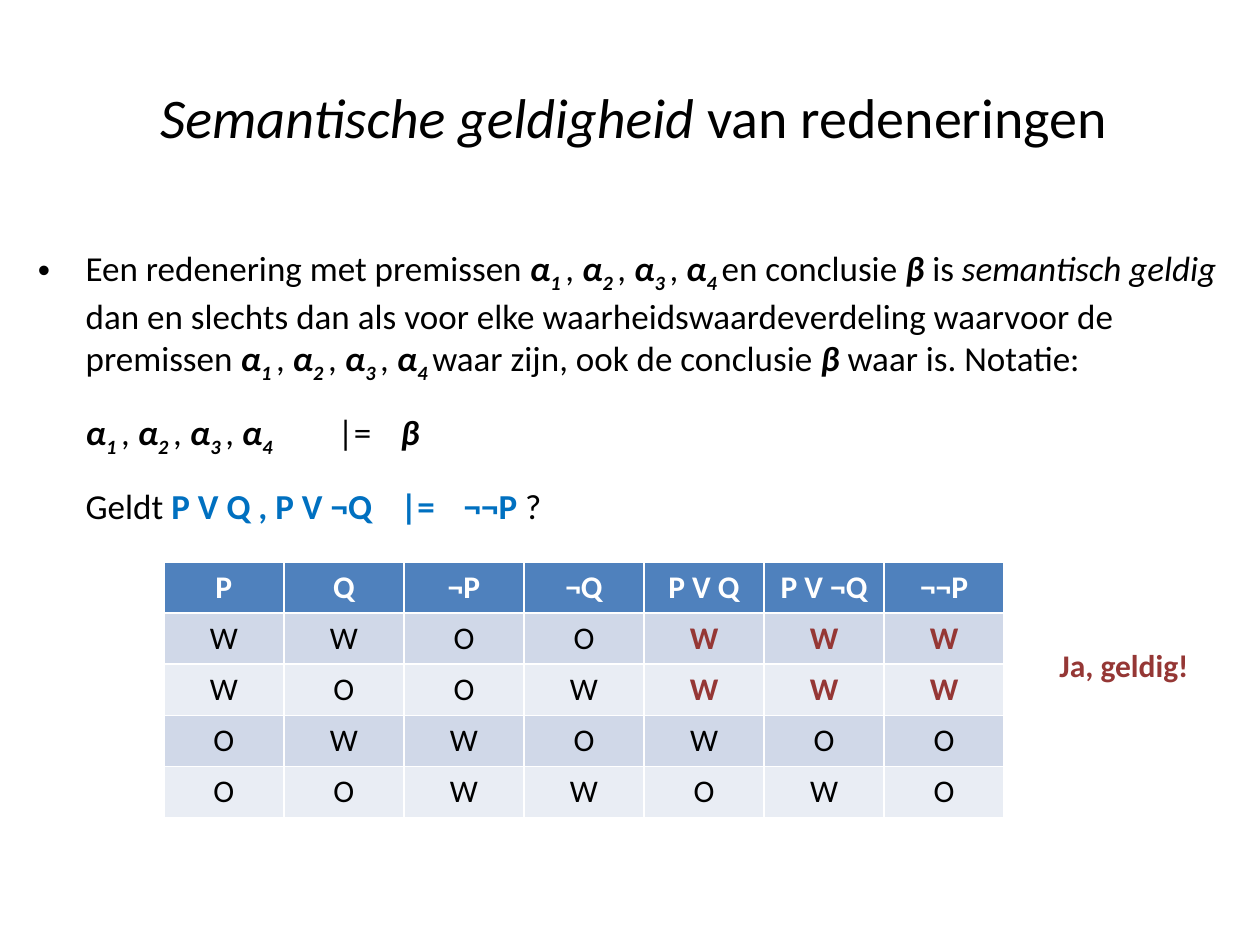
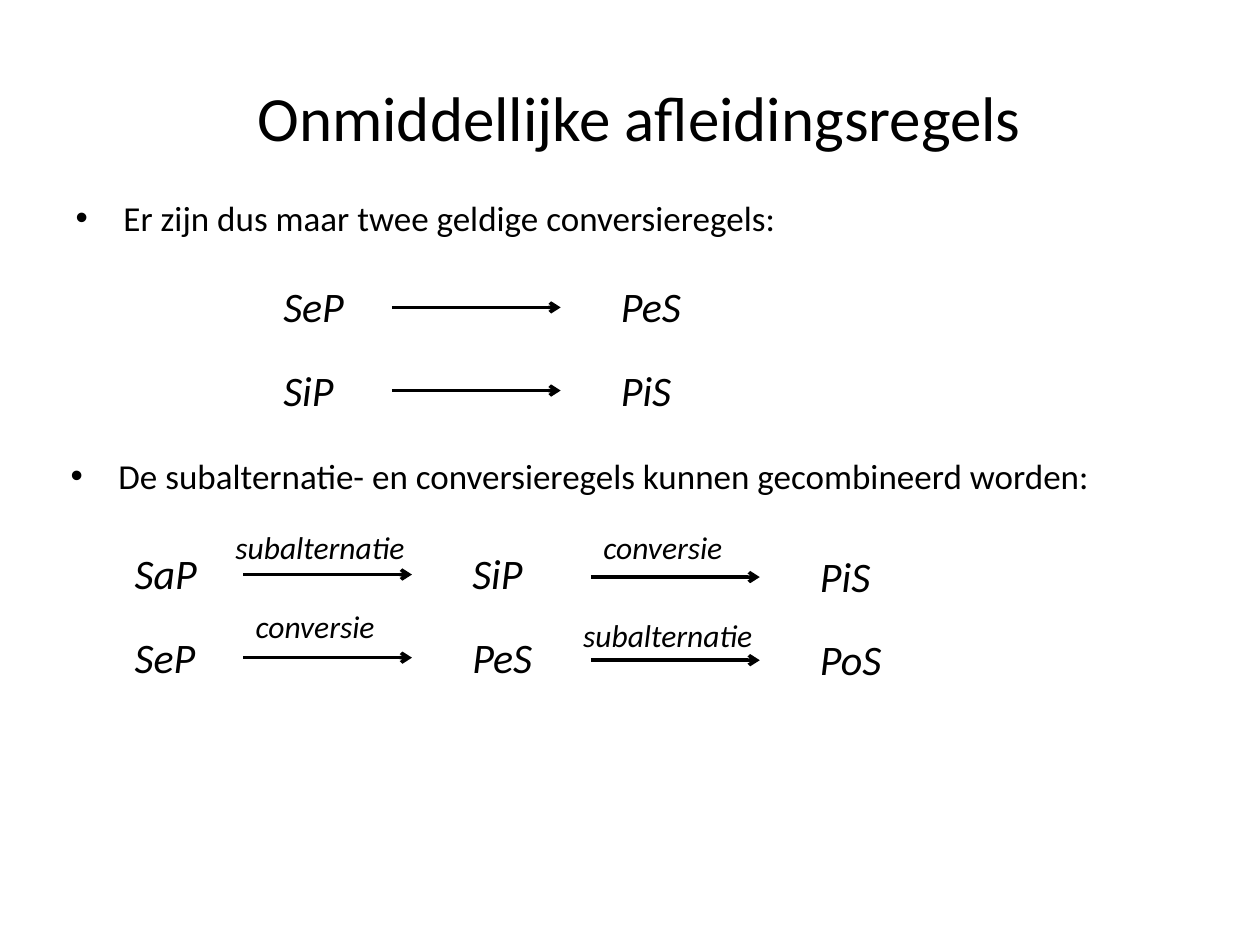
from lxml import etree
from pptx import Presentation
from pptx.dml.color import RGBColor
from pptx.enum.shapes import MSO_CONNECTOR as Connector
from pptx.enum.text import MSO_ANCHOR as Anchor, PP_ALIGN as Align
from pptx.oxml.ns import qn
from pptx.util import Inches, Pt

FONT = "Calibri"
COLORS = {
    "text": "000000",
    "formula": "0070C0",
    "valid": "953735",
    "header": "4F81BD",
    "header_text": "FFFFFF",
    "odd_row": "D0D8E8",
    "even_row": "E9EDF4",
}
INDENT = 0.38


def add_runs(paragraph, runs, size):
    """Add (text, style, color) runs; style letters: b bold, i italic, s subscript."""
    for text, style, color in runs:
        run = paragraph.add_run()
        run.text = text
        run.font.name = FONT
        run.font.size = Pt(size)
        run.font.bold = "b" in style
        run.font.italic = "i" in style
        run.font.color.rgb = RGBColor.from_string(COLORS[color])
        if "s" in style:
            run._r.get_or_add_rPr().set("baseline", "-25000")


def add_label(slide, text, left, top, width, size, style, color="text"):
    box = slide.shapes.add_textbox(Inches(left), Inches(top), Inches(width), Inches(0.4))
    box.text_frame.word_wrap = True
    add_runs(box.text_frame.paragraphs[0], [(text, style, color)], size)


presentation = Presentation()
presentation.slide_width = Inches(10)
presentation.slide_height = Inches(7.5)
layouts = presentation.slide_layouts
validity_slide = presentation.slides.add_slide(layouts.get_by_name("Title and Content"))
rules_slide = presentation.slides.add_slide(layouts.get_by_name("Two Content"))

# Titles
titles = [
    (validity_slide, 0.28, 9.5, 32,
     [("Semantische geldigheid", "i", "text"), (" van redeneringen", "", "text")]),
    (rules_slide, 0.5, 9.15, 36, [("Onmiddellijke afleidingsregels", "", "text")]),
]
for slide, left, width, size, runs in titles:
    title = slide.shapes.title
    title.left, title.top = Inches(left), Inches(0.3)
    title.width, title.height = Inches(width), Inches(1.25)
    title.text_frame.vertical_anchor = Anchor.MIDDLE
    paragraph = title.text_frame.paragraphs[0]
    paragraph.alignment = Align.CENTER
    add_runs(paragraph, runs, size)

# Lists: each paragraph is (bullet, tab stops, runs)
premises = []
for number in range(1, 5):
    premises += [("α", "bi", "text"), (f"{number} ", "bis", "text")]
    if number < 4:
        premises.append((", ", "", "text"))

definition = [
    ("Een redenering met premissen ", "", "text"), *premises,
    ("en conclusie ", "", "text"), ("β ", "bi", "text"), ("is ", "", "text"),
    ("semantisch geldig", "i", "text"),
    (" dan en slechts dan als voor elke waarheidswaardeverdeling waarvoor de premissen ",
     "", "text"),
    *premises, ("waar zijn, ook de conclusie ", "", "text"), ("β ", "bi", "text"),
    ("waar is. Notatie:", "", "text"),
]
notation = [*premises, ("\t|=\t", "", "text"), ("β", "bi", "text")]
question = [("Geldt ", "", "text"), ("P V Q , P V ¬Q\t|=\t¬¬P ", "b", "formula"),
            ("?", "", "text")]
conversion = [("Er zijn dus maar twee geldige conversieregels:", "", "text")]
combination = [("De subalternatie- en conversieregels kunnen gecombineerd worden:", "", "text")]

lists = [
    (validity_slide.placeholders[1], 0.2, 1.91, 9.61, 2.4,
     [(True, [], definition), (False, [2.08, 2.52], notation), (False, [2.8, 3.24], question)]),
    (rules_slide.placeholders[1], 0.5, 1.51, 9.5, 0.58, [(True, [], conversion)]),
    (rules_slide.placeholders[2], 0.46, 3.56, 9.5, 0.58, [(True, [], combination)]),
]
for body, left, top, width, height, paragraphs in lists:
    body.left, body.top = Inches(left), Inches(top)
    body.width, body.height = Inches(width), Inches(height)
    for index, (bullet, tab_stops, runs) in enumerate(paragraphs):
        frame = body.text_frame
        paragraph = frame.add_paragraph() if index else frame.paragraphs[0]
        paragraph.space_before = Pt(15 if index else 0)
        properties = paragraph._p.get_or_add_pPr()
        properties.set("marL", str(Inches(INDENT)))
        properties.set("indent", str(Inches(-INDENT if bullet else 0)))
        if bullet:
            etree.SubElement(properties, qn("a:buChar")).set("char", "•")
        else:
            etree.SubElement(properties, qn("a:buNone"))
            tabs = etree.SubElement(properties, qn("a:tabLst"))
            for stop in tab_stops:
                etree.SubElement(tabs, qn("a:tab"), pos=str(Inches(stop)), algn="l")
        add_runs(paragraph, runs, 20)

# Truth table
truth_rows = [
    ["P", "Q", "¬P", "¬Q", "P V Q", "P V ¬Q", "¬¬P"],
    "WWOOWWW",
    "WOOWWWW",
    "OWWOWOO",
    "OOWWOWO",
]
table = validity_slide.shapes.add_table(
    5, 7, Inches(1.3), Inches(4.46), Inches(6.67), Inches(2.03)).table
for row_index, values in enumerate(truth_rows):
    for column_index, value in enumerate(values):
        if row_index == 0:
            fill, style, color = "header", "b", "header_text"
        else:
            fill = "odd_row" if row_index % 2 else "even_row"
            highlighted = row_index <= 2 and column_index >= 4
            style, color = ("b", "valid") if highlighted else ("", "text")
        cell = table.cell(row_index, column_index)
        cell.fill.solid()
        cell.fill.fore_color.rgb = RGBColor.from_string(COLORS[fill])
        paragraph = cell.text_frame.paragraphs[0]
        paragraph.alignment = Align.CENTER
        add_runs(paragraph, [(value, style, color)], 18)
add_label(validity_slide, "Ja, geldig!", 8.31, 5.08, 1.34, 18, "b", "valid")

# Derivation steps: (arrow left, top, start term, end term); a chained step has no start term
ARROW_LENGTH = 1.34
steps = [
    (3.11, 2.18, "SeP", "PeS"),
    (3.11, 2.84, "SiP", "PiS"),
    (1.93, 4.3, "SaP", "SiP"),
    (1.93, 4.96, "SeP", "PeS"),
    (4.69, 4.32, None, "PiS"),
    (4.69, 4.98, None, "PoS"),
]
for left, top, start_term, end_term in steps:
    right = left + ARROW_LENGTH
    arrow_y = Inches(top + 0.26)
    arrow = rules_slide.shapes.add_connector(
        Connector.STRAIGHT, Inches(left), arrow_y, Inches(right), arrow_y)
    arrow.line.width = Pt(2)
    arrow.line.color.rgb = RGBColor.from_string(COLORS["text"])
    etree.SubElement(arrow.line._get_or_add_ln(), qn("a:tailEnd")).set("type", "arrow")
    etree.SubElement(arrow._element.spPr, qn("a:effectLst"))
    if start_term:
        add_label(rules_slide, start_term, left - ARROW_LENGTH + INDENT, top, 0.9, 24, "i")
    add_label(rules_slide, end_term, right + INDENT, top, 0.9, 24, "i")

for rule, left, top in [
    ("subalternatie", 1.77, 4.14),
    ("conversie", 4.69, 4.14),
    ("conversie", 1.93, 4.77),
    ("subalternatie", 4.53, 4.84),
]:
    add_label(rules_slide, rule, left, top, 1.65, 18, "i")

presentation.save("out.pptx")
